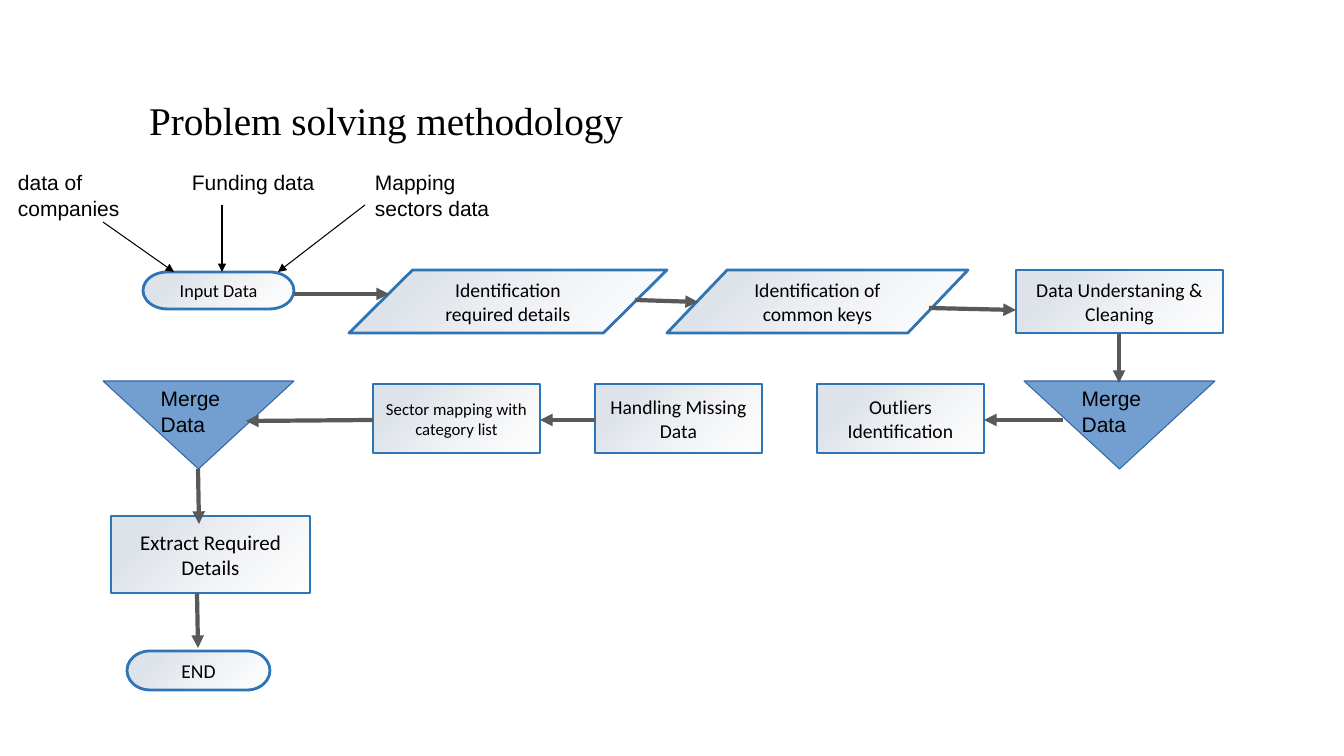
from lxml import etree
from pptx import Presentation
from pptx import util as u
from pptx.dml.color import RGBColor
from pptx.enum import shapes, text
from pptx.oxml.ns import qn

SCALE = 914400 / 100.8
BLACK = RGBColor(0x00, 0x00, 0x00)
WHITE = RGBColor(0xFF, 0xFF, 0xFF)
MIST = RGBColor(0xD6, 0xDC, 0xE5)
BLUE = RGBColor(0x2E, 0x75, 0xB6)
MERGE_FILL = RGBColor(0x72, 0x9F, 0xCF)
MERGE_LINE = RGBColor(0x34, 0x65, 0xA4)
GREY = RGBColor(0x59, 0x59, 0x59)

PROCESS = shapes.MSO_SHAPE.FLOWCHART_PROCESS
DATA = shapes.MSO_SHAPE.FLOWCHART_DATA
TERMINATOR = shapes.MSO_SHAPE.FLOWCHART_TERMINATOR

TITLE = "Problem solving methodology"
SOURCES = [("data of companies", 8), ("Funding data", 182), ("Mapping sectors data", 365)]
SOURCE_ARROWS = [(103, 222, 174, 272), (222, 205, 222, 272), (365, 205, 278, 272)]

STEPS = [
    ("Input Data", TERMINATOR, (143, 272, 151, 37), 13),
    ("Identification required details", DATA, (349, 270, 318, 63), 14),
    ("Identification of common keys", DATA, (667, 270, 301, 63), 14),
    ("Data Understaning & Cleaning", PROCESS, (1016, 270, 207, 63), 14),
    ("Extract Required Details", PROCESS, (111, 516, 199, 77), 15),
    ("END", TERMINATOR, (127, 651, 143, 39), 14),
]
CLEANING = [
    ("Sector mapping with category list", 12),
    ("Handling Missing Data", 14),
    ("Outliers Identification", 14),
]
CLEANING_LEFT, CLEANING_PITCH = 373, 222
STEPS += [
    (label, PROCESS, (CLEANING_LEFT + index * CLEANING_PITCH, 384, 167, 69), size)
    for index, (label, size) in enumerate(CLEANING)
]
MERGE_LEFTS = [103, 1024]

FLOW_ARROWS = [
    (294, 294, 389, 294),
    (635, 300, 698, 302),
    (929, 308, 1016, 310),
    (1119, 334, 1119, 383),
    (1063, 420, 984, 420),
    (595, 420, 540, 420),
    (373, 420, 246, 421),
    (198, 469, 199, 524),
    (197, 593, 198, 648),
]


def px(*values):
    return [u.Emu(round(value * SCALE)) for value in values]


def write(shape, label, size, font, align, anchor):
    frame = shape.text_frame
    frame.word_wrap = True
    frame.vertical_anchor = anchor
    paragraph = frame.paragraphs[0]
    paragraph.alignment = align
    run = paragraph.add_run()
    run.text = label
    run.font.size = u.Pt(size)
    run.font.name = font
    run.font.color.rgb = BLACK
    return paragraph


def write_note(shape, label):
    write(shape, label, 15, "Arial", text.PP_ALIGN.LEFT, text.MSO_ANCHOR.TOP)


def add_box(slide, preset, box, line_color, line_width):
    shape = slide.shapes.add_shape(preset, *px(*box))
    shape.shadow.inherit = False
    shape.line.color.rgb = line_color
    shape.line.width = u.Pt(line_width)
    return shape


def fill_gradient(shape):
    shape.fill.gradient()
    shape.fill.gradient_angle = 135
    stops = [(WHITE, 0, 46), (MIST, 0.77, 77)]
    for stop, (color, position, _) in zip(shape.fill.gradient_stops, stops):
        stop.color.rgb = color
        stop.position = position
    colors = shape._element.spPr.find(qn("a:gradFill")).iter(qn("a:srgbClr"))
    for color, (_, _, opacity) in zip(colors, stops):
        etree.SubElement(color, qn("a:alpha")).set("val", str(opacity * 1000))


def add_arrow(slide, ends, color, width):
    arrow = slide.shapes.add_connector(shapes.MSO_CONNECTOR.STRAIGHT, *px(*ends))
    arrow.line.color.rgb = color
    arrow.line.width = u.Pt(width)
    etree.SubElement(arrow.line._get_or_add_ln(), qn("a:tailEnd")).set("type", "triangle")
    etree.SubElement(arrow._element.spPr, qn("a:effectLst"))


presentation = Presentation()
presentation.slide_width, presentation.slide_height = px(1344, 756)
slide = presentation.slides.add_slide(presentation.slide_layouts[5])

title = slide.shapes.title
title.left, title.top, title.width, title.height = px(125, 76, 1026, 94)
title.text_frame.margin_left = px(24)[0]
heading = write(title, TITLE, 28, "Times New Roman", text.PP_ALIGN.LEFT, text.MSO_ANCHOR.MIDDLE)
heading.line_spacing = 0.9

for label, left in SOURCES:
    write_note(slide.shapes.add_textbox(*px(left, 165, 151, 74)), label)

for label, preset, box, size in STEPS:
    step = add_box(slide, preset, box, BLUE, 2)
    fill_gradient(step)
    write(step, label, size, "Calibri", text.PP_ALIGN.CENTER, text.MSO_ANCHOR.MIDDLE)

for left in MERGE_LEFTS:
    merge = add_box(slide, shapes.MSO_SHAPE.FLOWCHART_MERGE, (left, 381, 191, 88), MERGE_LINE, 0.75)
    merge.fill.solid()
    merge.fill.fore_color.rgb = MERGE_FILL
    write_note(merge, "Merge Data")

for ends in SOURCE_ARROWS:
    add_arrow(slide, ends, BLACK, 0.75)
for ends in FLOW_ARROWS:
    add_arrow(slide, ends, GREY, 3)

presentation.save("out.pptx")
